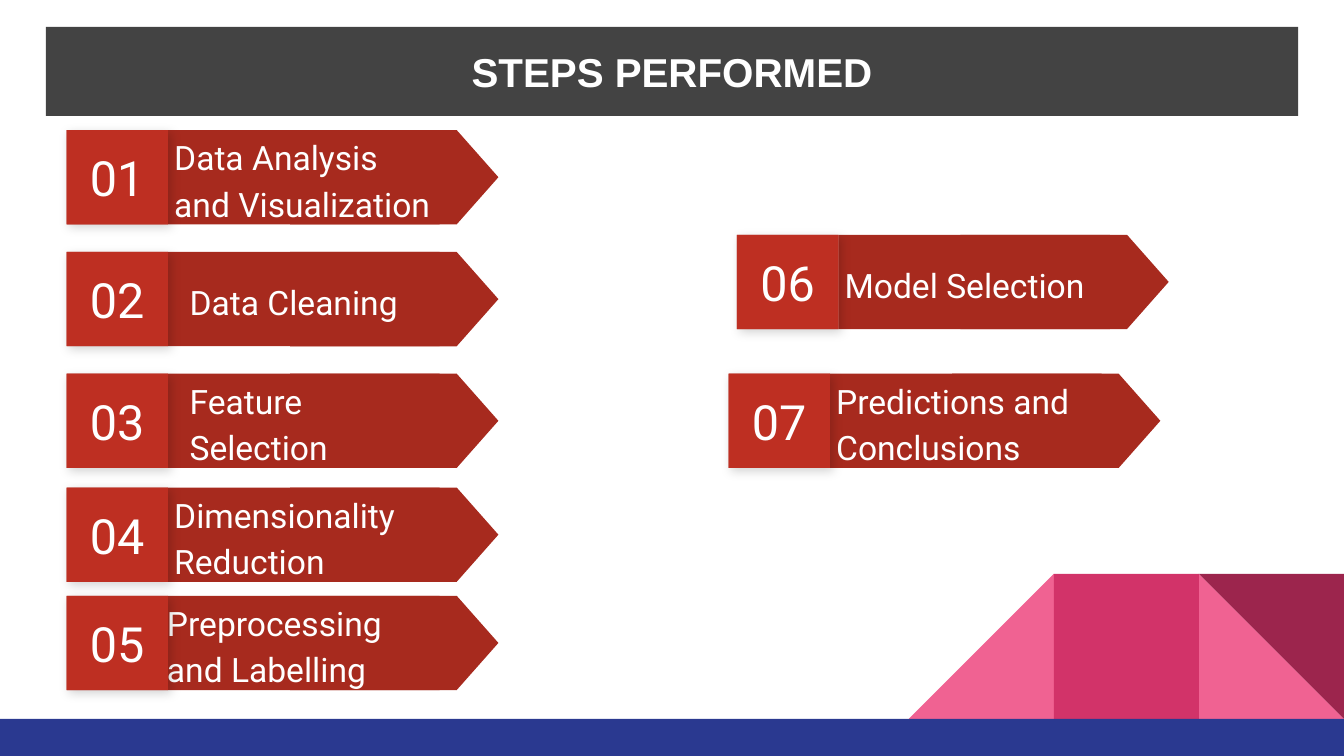
"""Build the 'Steps performed' slide with seven numbered arrows."""
from lxml import etree
from pptx import Presentation
from pptx.dml.color import RGBColor
from pptx.enum.shapes import MSO_SHAPE
from pptx.enum.text import MSO_ANCHOR, MSO_AUTO_SIZE, PP_ALIGN
from pptx.oxml.ns import qn
from pptx.util import Pt

RECTANGLE = MSO_SHAPE.RECTANGLE
TRIANGLE = MSO_SHAPE.RIGHT_TRIANGLE
POINTER = MSO_SHAPE.FLOWCHART_OFFPAGE_CONNECTOR
TOP, MIDDLE = MSO_ANCHOR.TOP, MSO_ANCHOR.MIDDLE
LEFT, CENTER = PP_ALIGN.LEFT, PP_ALIGN.CENTER
NO_FIT = MSO_AUTO_SIZE.NONE

STEP_HEIGHT, NUMBER_WIDTH, BODY_WIDTH = 50.5, 54.3, 145.6
POINTER_LENGTH, STEP_LENGTH = 111.6, 231.3
LABEL_WIDTH, LABEL_HEIGHT = 152.4, 39
STEPS = [
    ("01", "Data Analysis and Visualization", 35.7, 69.7, 50.6),
    ("02", "Data Cleaning", 35.7, 135, 58.8),
    ("03", "Feature Selection", 35.7, 200.2, 58.8),
    ("04", "Dimensionality Reduction", 35.7, 261.2, 50.6),
    ("05", "Preprocessing and Labelling", 35.7, 319.2, 46.7),
    ("06", "Model Selection", 394.8, 125.8, 50.6),
    ("07", "Predictions and Conclusions", 390.3, 200.2, 50.6),
]


def color(value):
    return RGBColor.from_string(value)


class SlideBuilder:
    def __init__(self, page):
        self.page = page
        self.font = "Roboto"
        self.ink = "FFFFFF"

    def shape(self, parent, kind, left, top, width, height, fill, rotation=0):
        shape = parent.add_shape(kind, Pt(left), Pt(top), Pt(width), Pt(height))
        shape.shadow.inherit = False
        shape.fill.solid()
        shape.fill.fore_color.rgb = color(fill)
        shape.line.fill.background()
        shape.rotation = rotation
        return shape

    def drop_shadow(self, shape):
        effects = shape.element.spPr.find(qn("a:effectLst"))
        shadow = etree.SubElement(effects, qn("a:outerShdw"), blurRad=str(Pt(5.6)),
                                  dist=str(Pt(2.2)), dir="2700000", algn="bl", rotWithShape="0")
        tint = etree.SubElement(shadow, qn("a:srgbClr"), val="000000")
        etree.SubElement(tint, qn("a:alpha"), val="17000")

    def text(self, box, words, size, align=LEFT, anchor=MIDDLE, spacing=1.0, font=None, bold=False):
        frame = box.text_frame
        frame.text = words
        frame.word_wrap = True
        frame.auto_size = NO_FIT
        frame.vertical_anchor = anchor
        frame.margin_left = frame.margin_right = Pt(7.2)
        frame.margin_top = frame.margin_bottom = Pt(7.2)
        para = frame.paragraphs[0]
        para.alignment = align
        para.line_spacing = spacing
        span = para.runs[0]
        span.font.name = font or self.font
        span.font.size = Pt(size)
        span.font.bold = bold
        span.font.color.rgb = color(self.ink)

    def title(self, words):
        title = self.page.shapes.title
        title.left, title.top, title.width, title.height = Pt(24.6), Pt(14.4), Pt(670.9), Pt(47.7)
        title.fill.solid()
        title.fill.fore_color.rgb = color("434343")
        self.text(title, words, 21.6, CENTER, TOP, 1.15, "Arial", True)
        title.text_frame.paragraphs[0].space_before = Pt(0)
        title.text_frame.paragraphs[0].space_after = Pt(12)

    def decoration(self):
        side, top, right = 77.7, 307.4, 720
        shapes = self.page.shapes
        for kind, column, fill, rotation in [
            (TRIANGLE, 1, "F06292", 0),
            (TRIANGLE, 3, "F06292", 270),
            (RECTANGLE, 2, "D23369", 0),
            (TRIANGLE, 1, "9C254D", 180),
        ]:
            self.shape(shapes, kind, right - column * side, top, side, side, fill, rotation)
        self.shape(shapes, RECTANGLE, 0, top + side, right, 405 - top - side, "2A3990")

    def step(self, number, words, left, top, label_offset):
        parts = self.page.shapes.add_group_shape().shapes
        self.shape(parts, RECTANGLE, left + NUMBER_WIDTH, top, BODY_WIDTH, STEP_HEIGHT, "A72A1E")
        pointer_left = left + STEP_LENGTH - (POINTER_LENGTH + STEP_HEIGHT) / 2
        pointer_top = top + (STEP_HEIGHT - POINTER_LENGTH) / 2
        self.shape(parts, POINTER, pointer_left, pointer_top, STEP_HEIGHT, POINTER_LENGTH, "A72A1E", 270)
        label = parts.add_textbox(Pt(left + label_offset), Pt(top + 6), Pt(LABEL_WIDTH), Pt(LABEL_HEIGHT))
        self.text(label, words, 18, spacing=1.15)
        place = (left, top, NUMBER_WIDTH, STEP_HEIGHT)
        self.drop_shadow(self.shape(parts, RECTANGLE, *place, "B02C20"))
        self.text(self.shape(parts, RECTANGLE, *place, "BE2F22"), number, 26, CENTER)


def main():
    deck = Presentation()
    deck.slide_width, deck.slide_height = Pt(720), Pt(405)
    builder = SlideBuilder(deck.slides.add_slide(deck.slide_layouts[5]))
    builder.decoration()
    builder.title("STEPS PERFORMED")
    for step in STEPS:
        builder.step(*step)
    deck.save("out.pptx")


if __name__ == "__main__":
    main()
